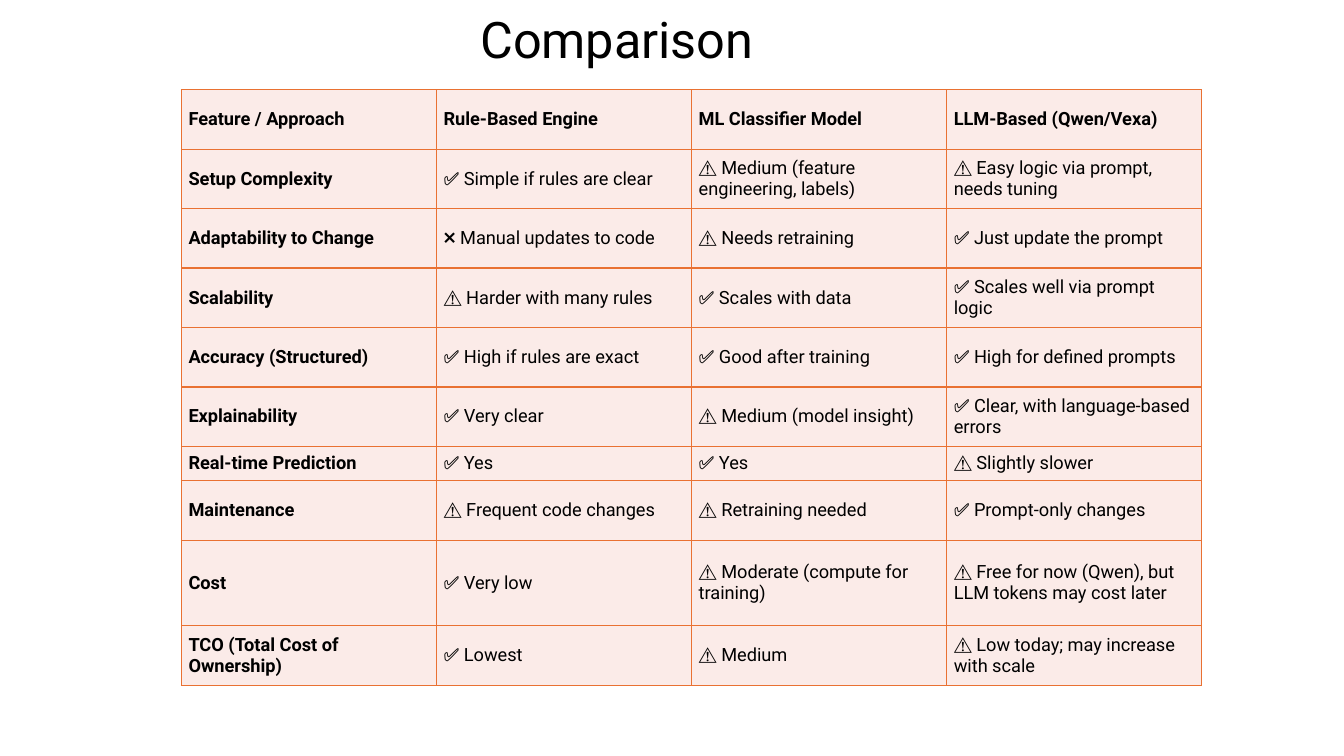
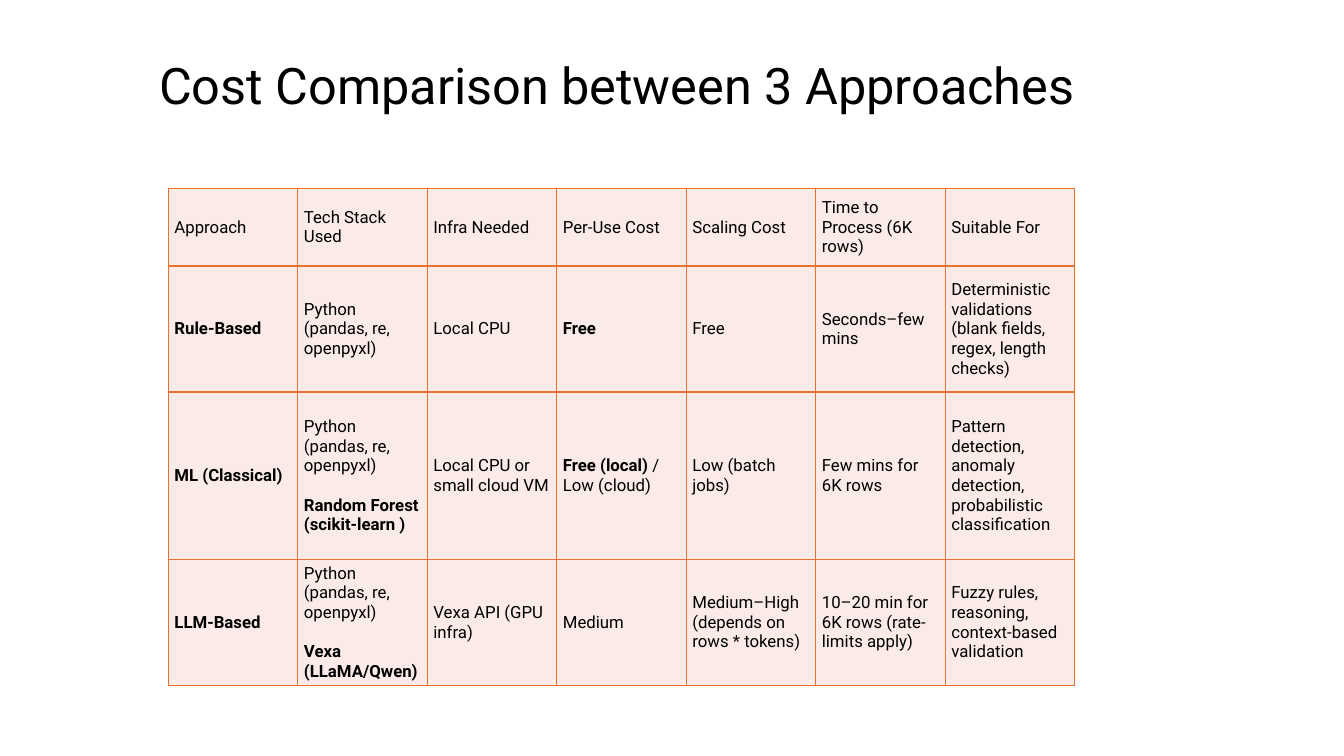
from dataclasses import dataclass

from lxml import etree
from pptx import Presentation
from pptx.dml.color import RGBColor
from pptx.enum.text import MSO_ANCHOR, MSO_AUTO_SIZE, PP_ALIGN
from pptx.oxml.ns import qn
from pptx.util import Pt

BOTTOM, MIDDLE = MSO_ANCHOR.BOTTOM, MSO_ANCHOR.MIDDLE
CENTER, LEFT = PP_ALIGN.CENTER, PP_ALIGN.LEFT
NO_AUTOFIT = MSO_AUTO_SIZE.NONE
TITLE_ONLY = 5
PX = 9144  # EMU per px, 100 px to the inch


@dataclass(frozen=True)
class Theme:
    font: str = "Roboto"
    ink: str = "000000"
    cell: str = "FBEBE8"
    border: str = "E97132"
    border_width: int = Pt(1)
    title_size: int = 36


THEME = Theme()

# Slide content: ** marks bold text, a line break starts a new paragraph
SLIDES = [
    {
        "title": "Comparison",
        "title_top": 0,
        "table_box": (180, 89, 1012),
        "row_heights": [59, 59, 59, 59, 59, 59, 34, 59, 85, 59],
        "margins": (7, 4),
        "text_size": 13,
        "rows": [
            ["**Feature / Approach**", "**Rule-Based Engine**",
             "**ML Classifier Model**", "**LLM-Based (Qwen/Vexa)**"],
            ["**Setup Complexity**", "✅ Simple if rules are clear",
             "⚠️ Medium (feature engineering, labels)",
             "⚠️ Easy logic via prompt, needs tuning"],
            ["**Adaptability to Change**", "❌ Manual updates to code",
             "⚠️ Needs retraining", "✅ Just update the prompt"],
            ["**Scalability**", "⚠️ Harder with many rules",
             "✅ Scales with data", "✅ Scales well via prompt logic"],
            ["**Accuracy (Structured)**", "✅ High if rules are exact",
             "✅ Good after training", "✅ High for defined prompts"],
            ["**Explainability**", "✅ Very clear",
             "⚠️ Medium (model insight)",
             "✅ Clear, with language-based errors"],
            ["**Real-time Prediction**", "✅ Yes", "✅ Yes",
             "⚠️ Slightly slower"],
            ["**Maintenance**", "⚠️ Frequent code changes",
             "⚠️ Retraining needed", "✅ Prompt-only changes"],
            ["**Cost**", "✅ Very low",
             "⚠️ Moderate (compute for training)",
             "⚠️ Free for now (Qwen), but LLM tokens may cost later"],
            ["**TCO (Total Cost of Ownership)**", "✅ Lowest", "⚠️ Medium",
             "⚠️ Low today; may increase with scale"],
        ],
    },
    {
        "title": "Cost Comparison between 3 Approaches",
        "title_top": 46,
        "table_box": (167, 187, 899),
        "row_heights": [77, 125, 166, 125],
        "margins": (6, 3),
        "text_size": 12,
        "rows": [
            ["Approach", "Tech Stack Used", "Infra Needed", "Per-Use Cost",
             "Scaling Cost", "Time to Process (6K rows)", "Suitable For"],
            ["**Rule-Based**", "Python (pandas, re, openpyxl)", "Local CPU",
             "**Free**", "Free", "Seconds–few mins",
             "Deterministic validations (blank fields, regex, length checks)"],
            ["**ML (Classical)**",
             "Python (pandas, re, openpyxl)\n**Random Forest (scikit-learn )**",
             "Local CPU or small cloud VM", "**Free (local)** / Low (cloud)",
             "Low (batch jobs)", "Few mins for 6K rows",
             "Pattern detection, anomaly detection, probabilistic classification"],
            ["**LLM-Based**",
             "Python (pandas, re, openpyxl)\n**Vexa (LLaMA/Qwen)**",
             "Vexa API (GPU infra)", "Medium",
             "Medium–High (depends on rows * tokens)",
             "10–20 min for 6K rows (rate-limits apply)",
             "Fuzzy rules, reasoning, context-based validation"],
        ],
    },
]


def write_paragraph(paragraph, text, size, alignment):
    paragraph.alignment = alignment
    paragraph.font.name = THEME.font
    paragraph.font.size = Pt(size)
    paragraph.font.color.rgb = RGBColor.from_string(THEME.ink)
    for index, part in enumerate(text.split("**")):
        if part:
            run = paragraph.add_run()
            run.text = part
            run.font.bold = index % 2 == 1


def style_cell(cell, margins):
    cell.margin_left = cell.margin_right = margins[0] * PX
    cell.margin_top = cell.margin_bottom = margins[1] * PX
    cell.vertical_anchor = MIDDLE
    properties = cell._tc.get_or_add_tcPr()
    for side in ("a:lnL", "a:lnR", "a:lnT", "a:lnB"):
        line = etree.SubElement(properties, qn(side), w=str(THEME.border_width))
        fill = etree.SubElement(line, qn("a:solidFill"))
        etree.SubElement(fill, qn("a:srgbClr"), val=THEME.border)
    cell.fill.solid()
    cell.fill.fore_color.rgb = RGBColor.from_string(THEME.cell)


presentation = Presentation()
presentation.slide_width = 1333 * PX
presentation.slide_height = 750 * PX

for content in SLIDES:
    slide = presentation.slides.add_slide(presentation.slide_layouts[TITLE_ONLY])

    # Title
    title = slide.shapes.title
    title.left, title.top = 112 * PX, content["title_top"] * PX
    title.width, title.height = 1000 * PX, 74 * PX
    frame = title.text_frame
    frame.auto_size = NO_AUTOFIT
    frame.vertical_anchor = BOTTOM
    frame.paragraphs[0].line_spacing = 0.9
    write_paragraph(frame.paragraphs[0], content["title"], THEME.title_size, CENTER)

    # Table with equal columns
    rows, heights = content["rows"], content["row_heights"]
    left, top, width = content["table_box"]
    table = slide.shapes.add_table(
        len(rows), len(rows[0]), left * PX, top * PX, width * PX, sum(heights) * PX
    ).table
    table.first_row = table.horz_banding = False
    for row, height in zip(table.rows, heights):
        row.height = height * PX

    # Cells
    for row, texts in zip(table.rows, rows):
        for cell, text in zip(row.cells, texts):
            style_cell(cell, content["margins"])
            for index, line_text in enumerate(text.split("\n")):
                if index == 0:
                    paragraph = cell.text_frame.paragraphs[0]
                else:
                    paragraph = cell.text_frame.add_paragraph()
                    paragraph.space_before = Pt(14)
                write_paragraph(paragraph, line_text, content["text_size"], LEFT)

presentation.save("out.pptx")
